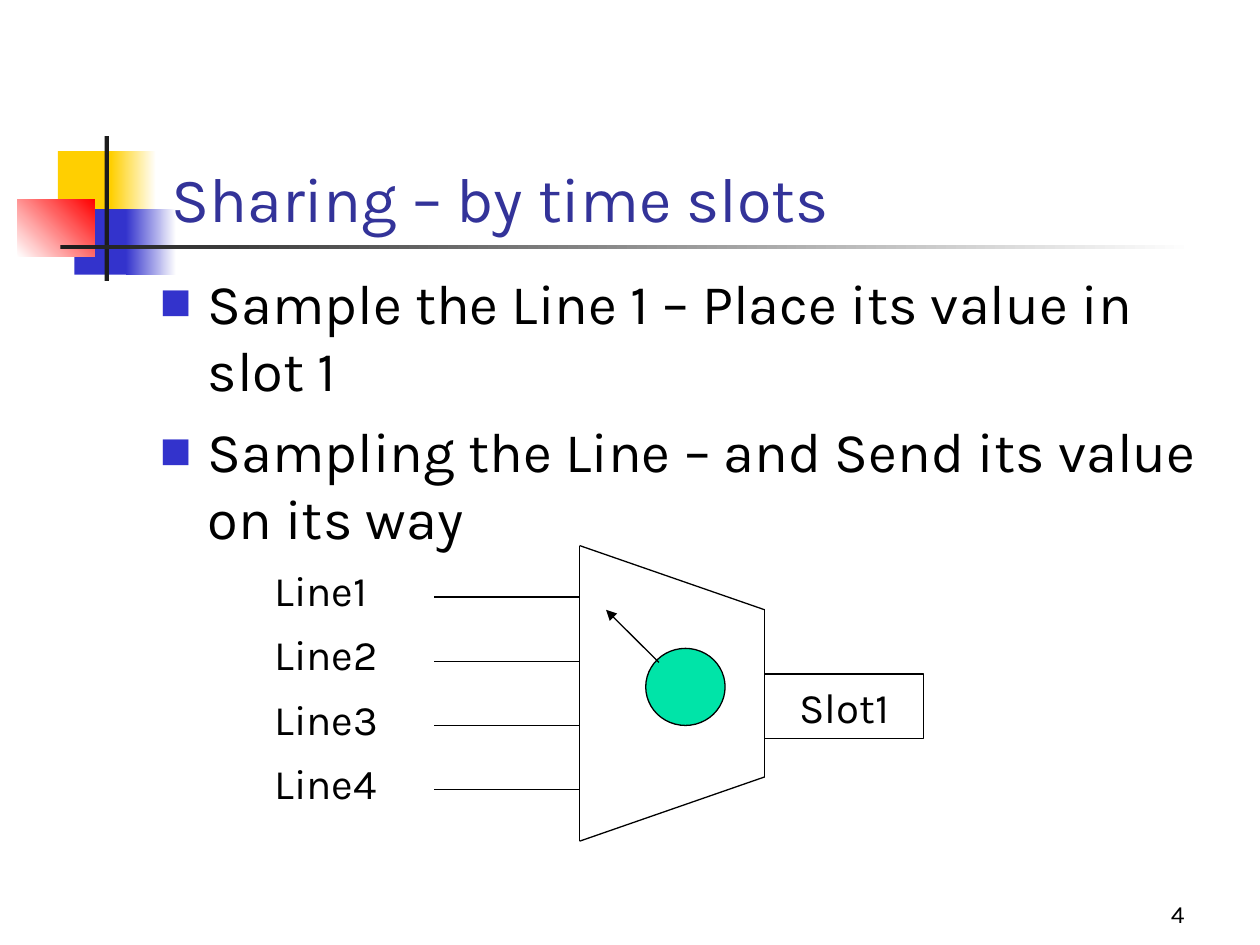
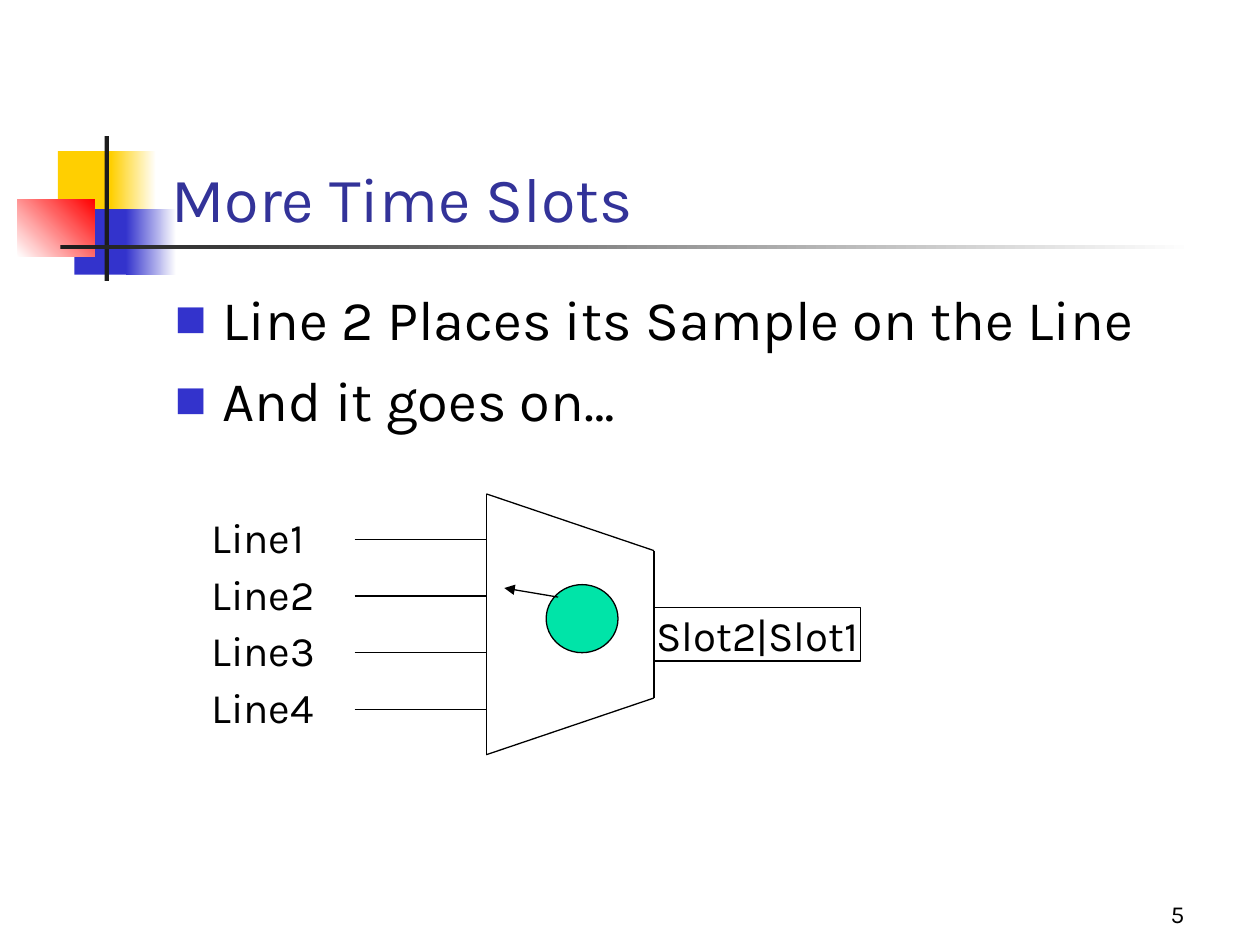
from dataclasses import dataclass

from lxml import etree
from pptx import Presentation
from pptx import util as u
from pptx.dml import color
from pptx.enum import shapes, text
from pptx.oxml import ns


@dataclass(frozen=True)
class Theme:
    font: str = "Karla"
    ink: str = "000000"
    paper: str = "FFFFFF"
    title: str = "333399"
    blue: str = "3333CC"
    gold: str = "FFCF01"
    red: str = "FF0000"
    bar: str = "1C1C1C"
    dial: str = "00E4A8"
    head: int = 36
    body: int = 32
    label: int = 24
    note: int = 14
    rule: float = 0.75


@dataclass(frozen=True)
class Grid:
    left: float
    top: float
    col: float
    row: float

    def spot(self, x, y):
        return u.Inches(self.left + x * self.col), u.Inches(self.top + y * self.row)

    def box(self, x, y, wide, high):
        return *self.spot(x, y), u.Inches(wide * self.col), u.Inches(high * self.row)


T = Theme()
PAGE = Grid(0, 0, 0.1, 0.1)
MOTIF = Grid(0.14, 1.08, 0.1, 0.1)
TITLE = (12.6, 6.7, 85.2, 12.5)
NUMBER = (74.2, 69.2, 20.8, 5)
KIND = shapes.MSO_SHAPE
SIDE = text.PP_ALIGN
EDGE = text.MSO_ANCHOR
LINES = ("Line1", "Line2", "Line3", "Line4")


def apply(item, form):
    for name, value in form.items():
        setattr(item, name, value)


def rgb(code):
    return color.RGBColor.from_string(code)


def write(frame, words, size, tint=T.ink, wrap=True, anchor=EDGE.TOP, **form):
    apply(frame, dict(word_wrap=wrap, vertical_anchor=anchor, auto_size=text.MSO_AUTO_SIZE.NONE))
    for index, line in enumerate(words):
        para = frame.add_paragraph() if index else frame.paragraphs[0]
        apply(para, form)
        run = para.add_run()
        run.text = line
        apply(run.font, dict(name=T.font, size=u.Pt(size)))
        run.font.color.rgb = rgb(tint)


def label(slide, box, words, size, **form):
    frame = slide.shapes.add_textbox(*box).text_frame
    write(frame, words, size, **form)
    return frame


def block(slide, kind, box, tints, angle=0, edge=None):
    shape = slide.shapes.add_shape(kind, *box)
    shape.shadow.inherit = False
    if len(tints) == 1:
        shape.fill.solid()
        shape.fill.fore_color.rgb = rgb(tints[0])
    else:
        shape.fill.gradient()
        shape.fill.gradient_angle = angle
        for stop, tint in zip(shape.fill.gradient_stops, tints):
            stop.color.rgb = rgb(tint)
    if edge:
        shape.line.color.rgb = rgb(edge)
        shape.line.width = u.Pt(T.rule)
    else:
        shape.line.fill.background()
    return shape


def stroke(slide, start, end, arrow=False):
    line = slide.shapes.add_connector(shapes.MSO_CONNECTOR.STRAIGHT, *start, *end)
    line.line.color.rgb = rgb(T.ink)
    line.line.width = u.Pt(T.rule)
    if arrow:
        etree.SubElement(line.line._get_or_add_ln(), ns.qn("a:tailEnd"), type="triangle")
    etree.SubElement(line.element.spPr, ns.qn("a:effectLst"))


def motif(slide, grid, layout):
    parts = (
        ((3.2, 1.2, 4.8, 5.2), (T.gold,), 0),
        ((7.4, 1.2, 3.6, 5.2), (T.gold, T.paper), 0),
        ((4.5, 5.8, 4.6, 5.2), (T.blue,), 0),
        ((8.6, 5.8, 4, 5.2), (T.blue, T.paper), 0),
        ((0, 5, 6.1, 4.6), (T.paper, T.red), 45),
        ((6.9, 0, 0.35, 11.5), (T.bar,), 0),
        ((3.4, 8.65, 90, 0.35), (T.bar, T.paper), 0),
    )
    for place, tints, angle in parts:
        part = block(slide, KIND.RECTANGLE, grid.box(*place), tints, angle)
        layout.shapes.element.append(part.element)


def header(slide, grid, words, number):
    title = slide.shapes.title
    apply(title, dict(zip(("left", "top", "width", "height"), grid.box(*TITLE))))
    write(title.text_frame, [words], T.head, T.title, anchor=EDGE.BOTTOM, alignment=SIDE.LEFT)
    label(slide, grid.box(*NUMBER), [str(number)], T.note, anchor=EDGE.BOTTOM, alignment=SIDE.RIGHT)


def points(slide, box, words):
    frame = label(slide, box, words, T.body, space_before=u.Pt(8))
    indent = u.Inches(0.38)
    for para in frame.paragraphs:
        props = para._p.get_or_add_pPr()
        props.set("marL", str(indent))
        props.set("indent", str(-indent))
        tint = etree.SubElement(props, ns.qn("a:buClr"))
        etree.SubElement(tint, ns.qn("a:srgbClr"), val=T.blue)
        etree.SubElement(props, ns.qn("a:buSzPct"), val="60000")
        etree.SubElement(props, ns.qn("a:buFont"), typeface=T.font)
        etree.SubElement(props, ns.qn("a:buChar"), char="■")


def switch(slide, grid, slot, size, tip):
    ends = ((12, 0), (19, 1), (19, 3.6), (12, 4.6))
    for start, end in zip(ends, ends[1:] + ends[:1]):
        stroke(slide, grid.spot(*start), grid.spot(*end))
    out = block(slide, KIND.RECTANGLE, grid.box(19, 2, *size), (T.paper,), edge=T.ink)
    write(out.text_frame, [slot], T.label, wrap=False, anchor=EDGE.MIDDLE, alignment=SIDE.CENTER)
    for index, name in enumerate(LINES):
        level = index + 0.8
        stroke(slide, grid.spot(6.5, level), grid.spot(12, level))
        label(slide, grid.box(0, index + 0.2, 6, 1), [name], T.label, space_before=u.Pt(15))
    block(slide, KIND.OVAL, grid.box(14.5, 1.6, 3, 1.2), (T.dial,), edge=T.ink)
    stroke(slide, grid.spot(15, 1.82), grid.spot(*tip), arrow=True)


PAGES = (
    dict(
        title="Sharing – by time slots",
        number=4,
        area=(11.7, 20.8, 85, 28.3),
        words=(
            "Sample the Line 1 – Place its value in slot 1",
            "Sampling the Line – and Send its value on its way",
        ),
        grid=Grid(2.08, 4.33, 0.21, 0.51),
        slot="Slot1",
        size=(6, 1),
        tip=(13, 1),
    ),
    dict(
        title="More Time Slots",
        number=5,
        area=(12.9, 22.1, 85, 45),
        words=("Line 2 Places its Sample on the Line", "And it goes on…"),
        grid=Grid(1.58, 3.92, 0.19, 0.45),
        slot="Slot2|Slot1",
        size=(8.63, 0.95),
        tip=(12.75, 1.66),
    ),
)


def main():
    deck = Presentation()
    deck.slide_width, deck.slide_height = u.Inches(10), u.Inches(7.5)
    layout = deck.slide_layouts.get_by_name("Title Only")
    for index, page in enumerate(PAGES):
        slide = deck.slides.add_slide(layout)
        if index == 0:
            motif(slide, MOTIF, layout)
        header(slide, PAGE, page["title"], page["number"])
        points(slide, PAGE.box(*page["area"]), page["words"])
        switch(slide, page["grid"], page["slot"], page["size"], page["tip"])
    deck.save("out.pptx")


if __name__ == "__main__":
    main()
